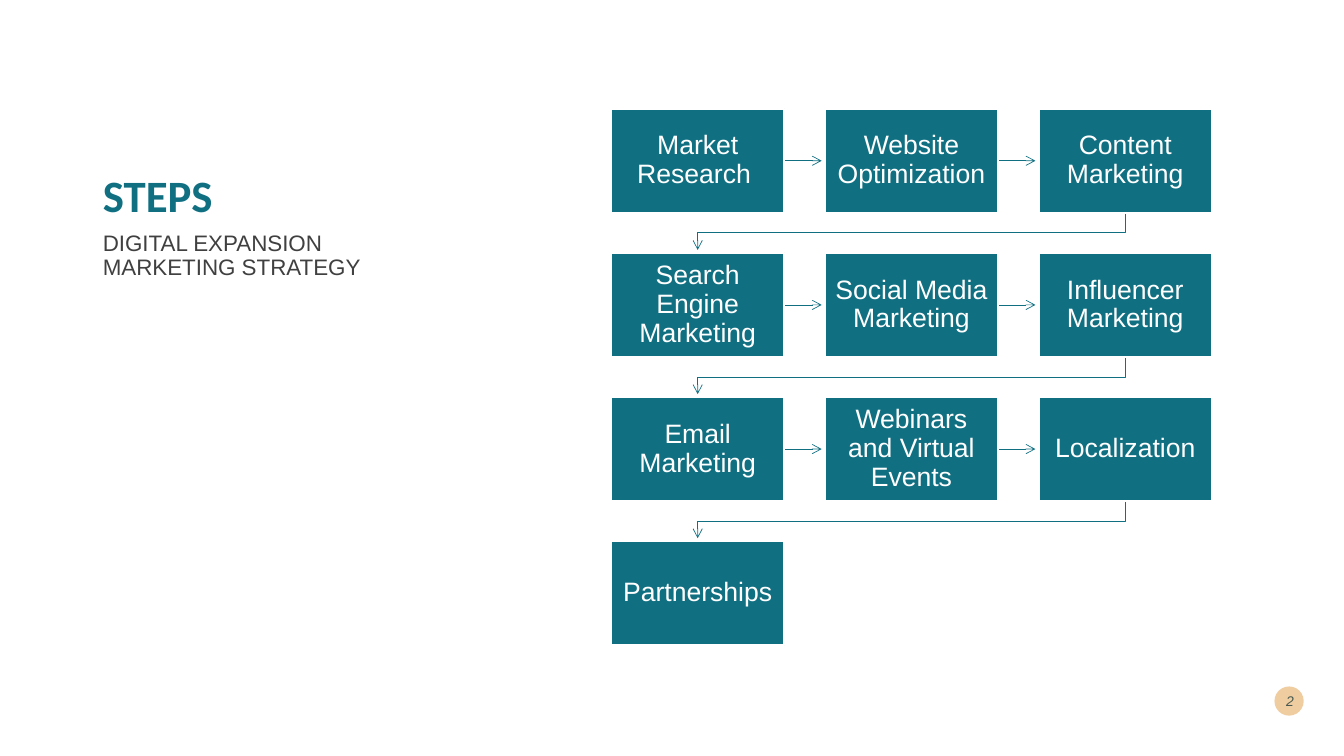
from lxml.etree import SubElement
from pptx import Presentation
from pptx.dml.color import RGBColor
from pptx.enum.shapes import MSO_CONNECTOR, MSO_SHAPE
from pptx.enum.text import MSO_ANCHOR, MSO_AUTO_SIZE, PP_ALIGN
from pptx.oxml.ns import qn
from pptx.util import Inches, Pt

TEAL = RGBColor(0x10, 0x70, 0x82)
WHITE = RGBColor(0xFF, 0xFF, 0xFF)
GRAY = RGBColor(0x40, 0x40, 0x40)
SAND = RGBColor(0xF0, 0xCD, 0xA1)
DARK = RGBColor(0x00, 0x29, 0x2E)

WIDE, HIGH = 1.72, 1.03
LEFT, TOP = 6.06, 1.08
STEP, DROP = 2.12, 1.43
COLS = 3
STEPS = [
    "Market Research ", "Website Optimization", "Content Marketing",
    "Search Engine Marketing", "Social Media Marketing", "Influencer Marketing",
    "Email Marketing", "Webinars and Virtual Events", "Localization",
    "Partnerships",
]


def write(shape, lines, color, font, para, frame):
    text = shape.text_frame
    frame = {"word_wrap": True, "auto_size": MSO_AUTO_SIZE.NONE, **frame}
    part = text.paragraphs[0]
    for num, line in enumerate(lines):
        if num:
            part.add_line_break()
        run = part.add_run()
        run.text = line
        run.font.color.rgb = color
        for key, value in font.items():
            setattr(run.font, key, value)
    for item, look in ((part, para), (text, frame)):
        for key, value in look.items():
            setattr(item, key, value)
    return part


def trace(shape):
    shape.line.color.rgb = TEAL
    shape.line.width = Pt(0.5)
    line = shape.line._get_or_add_ln()
    SubElement(line, qn("a:tailEnd"), type="arrow")


deck = Presentation()
deck.slide_width, deck.slide_height = Inches(13.33), Inches(7.5)
slide = deck.slides.add_slide(deck.slide_layouts[1])
shapes = slide.shapes

title, body = slide.placeholders
for holder, top, high in ((title, 0.5, 1.75), (body, 2.25, 4.17)):
    holder.left, holder.top = Inches(0.92), Inches(top)
    holder.width, holder.height = Inches(4.3), Inches(high)

write(title, ["STEPS"], TEAL,
      {"name": "Calibri", "size": Pt(32), "bold": True},
      {"alignment": PP_ALIGN.LEFT, "line_spacing": 0.9},
      {"vertical_anchor": MSO_ANCHOR.BOTTOM})
part = write(body, ["DIGITAL EXPANSION ", "MARKETING STRATEGY"], GRAY,
             {"name": "Arial", "size": Pt(16)},
             {"alignment": PP_ALIGN.LEFT, "line_spacing": 0.9, "space_before": Pt(10)},
             {"vertical_anchor": MSO_ANCHOR.TOP})
props = part._p.get_or_add_pPr()
for key in ("marL", "indent"):
    props.set(key, "0")
SubElement(props, qn("a:buNone"))

for num, step in enumerate(STEPS):
    row, col = divmod(num, COLS)
    x, y = LEFT + col * STEP, TOP + row * DROP
    mid = y + HIGH / 2
    last = num == len(STEPS) - 1
    ahead = col < COLS - 1 and not last
    if ahead:
        arrow = shapes.add_connector(
            MSO_CONNECTOR.STRAIGHT, Inches(x + WIDE), Inches(mid),
            Inches(x + WIDE + 0.37), Inches(mid))
        trace(arrow)
        SubElement(arrow._element.spPr, qn("a:effectLst"))
    elif not last:
        start, end = x + WIDE / 2, LEFT + WIDE / 2
        base = y + HIGH
        path = shapes.build_freeform(Inches(start), Inches(base))
        turns = ((start, base + 0.2), (end, base + 0.2), (end, base + 0.37))
        path.add_line_segments([(Inches(a), Inches(b)) for a, b in turns], close=False)
        bend = path.convert_to_shape()
        bend.fill.background()
        trace(bend)
        bend.shadow.inherit = False
    box = shapes.add_shape(MSO_SHAPE.RECTANGLE, Inches(x), Inches(y),
                           Inches(WIDE), Inches(HIGH))
    box.shadow.inherit = False
    box.fill.solid()
    box.fill.fore_color.rgb = TEAL
    box.line.color.rgb = WHITE
    box.line.width = Pt(1.5)
    write(box, [step], WHITE, {"name": "Arial", "size": Pt(19)},
          {"alignment": PP_ALIGN.CENTER, "line_spacing": 0.9},
          {"vertical_anchor": MSO_ANCHOR.MIDDLE,
           "margin_left": Inches(0.08), "margin_right": Inches(0.08),
           "margin_top": Inches(0.09), "margin_bottom": Inches(0.09)})
    if ahead:
        arrow.begin_connect(box, 3)

disc = shapes.add_shape(MSO_SHAPE.OVAL, Inches(12.64), Inches(6.81),
                        Inches(0.29), Inches(0.29))
disc.shadow.inherit = False
disc.fill.solid()
disc.fill.fore_color.rgb = SAND
disc.line.fill.background()

page = shapes.add_textbox(Inches(12.54), Inches(6.75), Inches(0.39), Inches(0.4))
part = write(page, ["2"], DARK,
             {"name": "Arial", "size": Pt(10), "italic": True},
             {"alignment": PP_ALIGN.RIGHT},
             {"vertical_anchor": MSO_ANCHOR.MIDDLE})
for tint in part._p.iter(qn("a:srgbClr")):
    SubElement(tint, qn("a:alpha"), val="70000")

deck.save("out.pptx")
